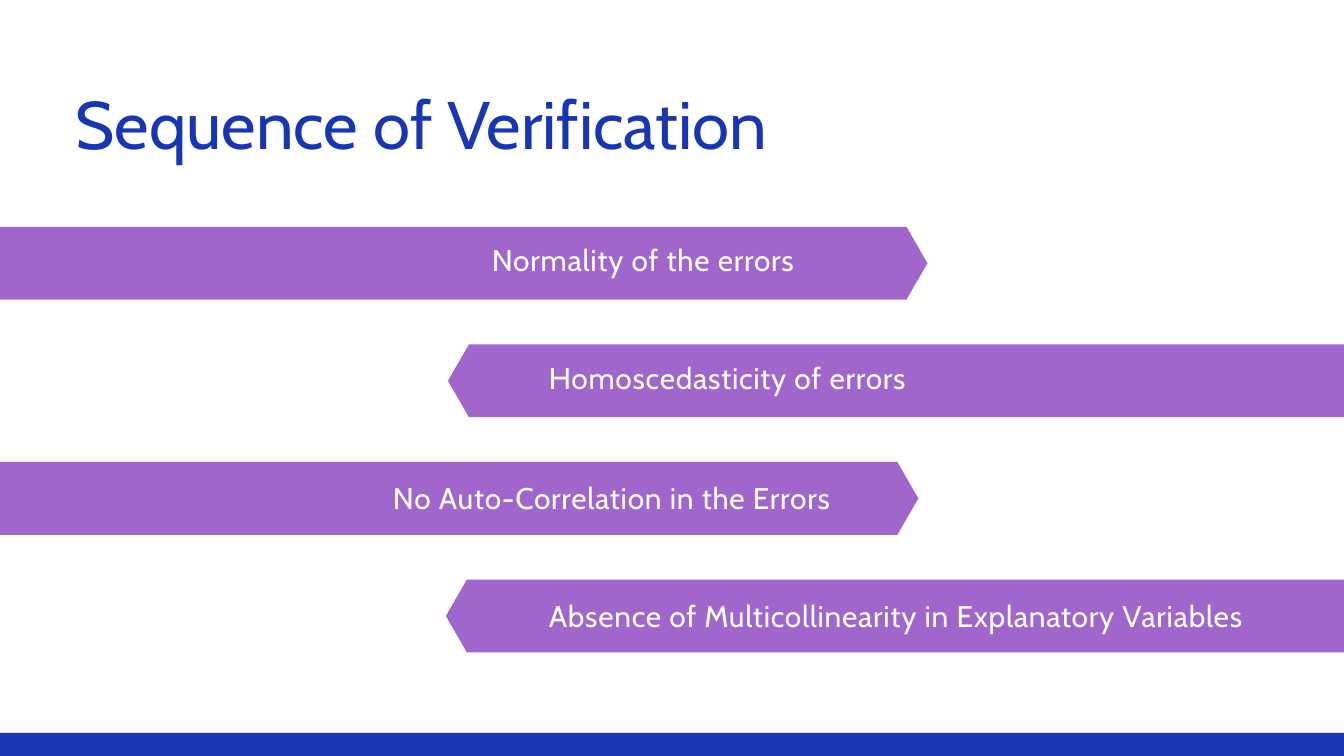
from dataclasses import dataclass

from pptx import Presentation
from pptx.dml.color import RGBColor
from pptx.enum.text import MSO_AUTO_SIZE, PP_ALIGN
from pptx.shapes.autoshape import Shape
from pptx.slide import Slide
from pptx.util import Emu, Pt

LEFT = PP_ALIGN.LEFT
RIGHT = PP_ALIGN.RIGHT
GROW = MSO_AUTO_SIZE.SHAPE_TO_FIT_TEXT
RECTANGLE = 1

EMU_PER_PX = 9525
FONT = "Cabin"
BLUE = RGBColor(0x18, 0x36, 0xB2)
PURPLE = RGBColor(0xA0, 0x66, 0xCB)
WHITE = RGBColor(0xFF, 0xFF, 0xFF)

BAR_TOP = 324
BAR_PITCH = 168
BAR_WIDTH = 1392
BAR_HEIGHT = 104
BAR_POINT = 30
LABEL_HEIGHT = 42


@dataclass(frozen=True)
class TextStyle:
    size: int
    line_spacing: float
    color: RGBColor
    alignment: PP_ALIGN = LEFT
    tracking: int = 0


@dataclass(frozen=True)
class Step:
    label: str
    bar_left: int
    label_left: int
    label_width: int
    label_offset: int
    alignment: PP_ALIGN


STEPS = [
    Step("Normality of the errors", -67, 56, 1079, 31, RIGHT),
    Step("Homoscedasticity of errors", 640, 784, 1168, 31, LEFT),
    Step("No Auto-Correlation in the Errors", -80, 80, 1107, 35, RIGHT),
    Step("Absence of Multicollinearity in Explanatory Variables", 637, 784, 1168, 35, LEFT),
]


def px(length: int) -> Emu:
    return Emu(length * EMU_PER_PX)


def paint(shape: Shape, color: RGBColor) -> None:
    shape.shadow.inherit = False
    shape.fill.solid()
    shape.fill.fore_color.rgb = color
    shape.line.fill.background()


def add_text(slide: Slide, text: str, left: int, top: int, width: int, height: int,
             style: TextStyle) -> None:
    text_frame = slide.shapes.add_textbox(px(left), px(top), px(width), px(height)).text_frame
    text_frame.margin_left = text_frame.margin_right = 0
    text_frame.margin_top = text_frame.margin_bottom = 0
    text_frame.word_wrap = True
    text_frame.auto_size = GROW
    text_frame.text = text
    paragraph = text_frame.paragraphs[0]
    paragraph.alignment = style.alignment
    paragraph.line_spacing = Pt(style.line_spacing)
    run = paragraph.runs[0]
    run.font.name = FONT
    run.font.size = Pt(style.size)
    run.font.color.rgb = style.color
    if style.tracking:
        run._r.get_or_add_rPr().set("spc", str(style.tracking))


def add_bar(slide: Slide, left: int, top: int) -> None:
    right, bottom, middle = left + BAR_WIDTH, top + BAR_HEIGHT, top + BAR_HEIGHT // 2
    builder = slide.shapes.build_freeform(left + BAR_POINT, top, scale=EMU_PER_PX)
    builder.add_line_segments([
        (right - BAR_POINT, top),
        (right, middle),
        (right - BAR_POINT, bottom),
        (left + BAR_POINT, bottom),
        (left, middle),
    ], close=True)
    paint(builder.convert_to_shape(), PURPLE)


def add_step(slide: Slide, step: Step, top: int) -> None:
    add_bar(slide, step.bar_left, top)
    add_text(slide, step.label, step.label_left, top + step.label_offset, step.label_width,
             LABEL_HEIGHT, TextStyle(32, 31.2, WHITE, step.alignment, 80))


def main() -> None:
    presentation = Presentation()
    presentation.slide_width = px(1920)
    presentation.slide_height = px(1080)
    slide = presentation.slides.add_slide(presentation.slide_layouts[6])

    add_text(slide, "Sequence of Verification", 108, 115, 1174, 114, TextStyle(72, 88, BLUE))
    for index, step in enumerate(STEPS):
        add_step(slide, step, BAR_TOP + index * BAR_PITCH)
    footer = slide.shapes.add_shape(RECTANGLE, px(-19), px(1047), px(1957), px(53))
    paint(footer, BLUE)

    presentation.save("out.pptx")


if __name__ == "__main__":
    main()
